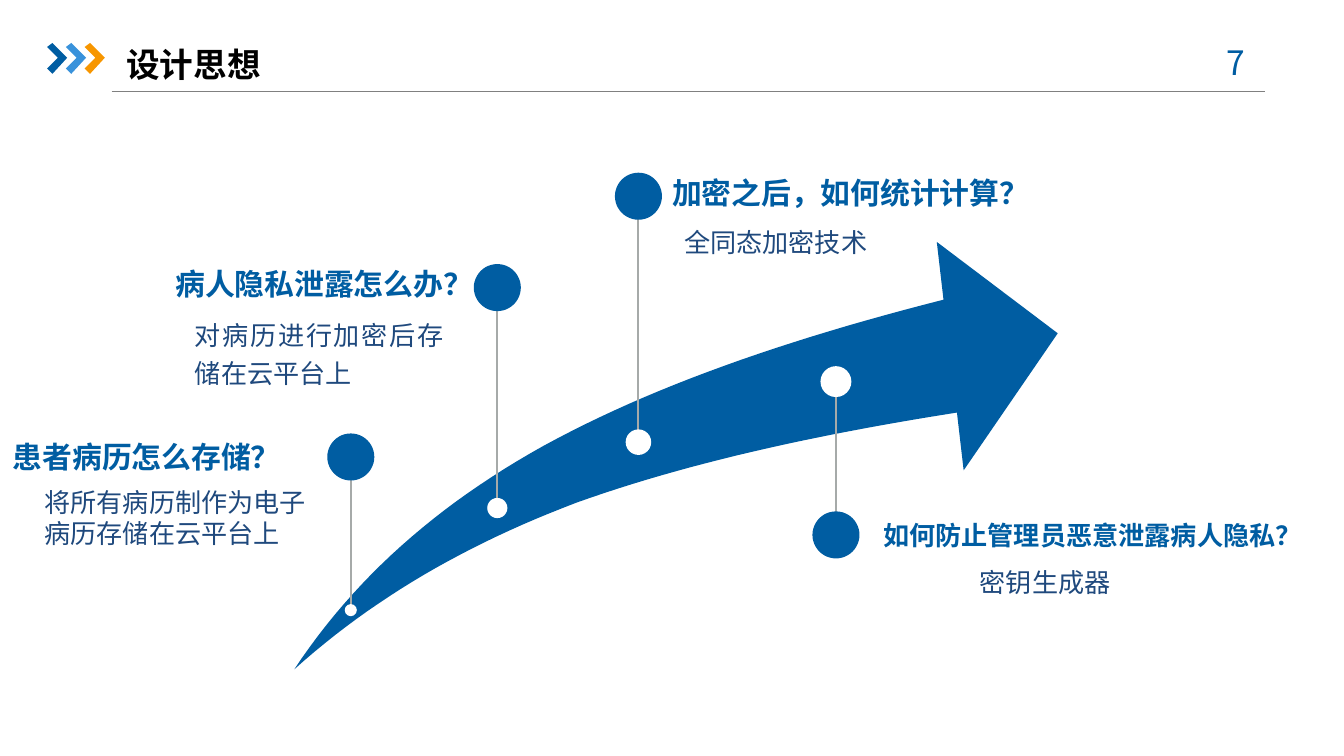
from lxml.etree import SubElement
from pptx import Presentation
from pptx.dml.color import RGBColor
from pptx.enum.shapes import MSO_CONNECTOR as Connector, MSO_SHAPE as Shape
from pptx.enum.text import MSO_ANCHOR as Anchor, PP_ALIGN as Align
from pptx.oxml.ns import qn
from pptx.util import Inches, Pt

FONT = "Noto Sans CJK SC"
COLORS = {
    "blue": "005DA2", "sky": "3992DB", "orange": "F79600", "navy": "1F497D",
    "rule": "808080", "stem": "A6AAA9", "white": "FFFFFF", "black": "000000",
}
MILESTONES = [
    (2.61, 3.4, 4.54, 0.09),
    (3.7, 2.14, 3.78, 0.15),
    (4.75, 1.46, 3.29, 0.19),
    (6.22, 3.98, 2.84, 0.23),
]
HEADINGS = [
    ("患者病历怎么存储？", (-0.33, 3.23, 2.42, 0.34), 16, Align.RIGHT, 1),
    ("病人隐私泄露怎么办？", (1.22, 1.96, 2.08, 0.34), 16, Align.RIGHT, 0.9),
    ("加密之后，如何统计计算？", (5, 1.28, 2.99, 0.34), 16, Align.LEFT, 0.9),
    ("如何防止管理员恶意泄露病人隐私？", (6.57, 3.83, 3.11, 0.34), 14, Align.LEFT, 0.9),
]
ANSWERS = [
    ("将所有病历制作为电子病历存储在云平台上", (0.33, 3.62, 2, 0.47), Align.LEFT, 1),
    ("对病历进行加密后存储在云平台上", (1.45, 2.33, 1.85, 0.51), Align.JUSTIFY, 1.2),
    ("全同态加密技术", (5.09, 1.64, 1.53, 0.51), Align.JUSTIFY, 1.2),
    ("密钥生成器", (7.29, 4.17, 1.85, 0.51), Align.JUSTIFY, 1.2),
]
UPPER_EDGE = [
    [(2.19, 4.98), (2.64, 4.3), (3.25, 3.76), (4.04, 3.32)],
    [(4.04, 3.32), (4.84, 2.88), (5.84, 2.53), (7.02, 2.23)],
]
ARROW_HEAD = [(6.97, 1.8), (7.87, 2.48), (7.17, 3.5), (7.12, 3.07)]
LOWER_EDGE = [
    [(7.12, 3.07), (6.04, 3.24), (5.1, 3.45), (4.29, 3.74)],
    [(4.29, 3.74), (3.47, 4.05), (2.78, 4.45), (2.19, 4.98)],
]


def rgb(name):
    """Return the named colour."""
    return RGBColor.from_string(COLORS[name])


def paint(shape, color):
    """Give a shape a flat fill without outline or shadow."""
    shape.shadow.inherit = False
    shape.fill.solid()
    shape.fill.fore_color.rgb = rgb(color)
    shape.line.fill.background()


def add_outline(page, points, color):
    """Draw a closed filled polygon."""
    corners = [(Inches(x), Inches(y)) for x, y in points]
    builder = page.shapes.build_freeform(*corners[0], scale=1.0)
    builder.add_line_segments(corners[1:], close=True)
    paint(builder.convert_to_shape(), color)


def add_dot(page, x, y, size, color):
    """Draw a circle around a centre."""
    place = (x - size / 2, y - size / 2, size, size)
    paint(page.shapes.add_shape(Shape.OVAL, *map(Inches, place)), color)


def add_line(page, start, end, color, width):
    """Draw a straight line without shadow."""
    line = page.shapes.add_connector(Connector.STRAIGHT, *map(Inches, start + end))
    line.line.color.rgb = rgb(color)
    line.line.width = Pt(width)
    SubElement(line._element.spPr, qn("a:effectLst"))


def add_text(page, text, place, size, color, bold=False, align=Align.LEFT,
             spacing=1, anchor=Anchor.TOP):
    """Write one paragraph in a box without margins."""
    frame = page.shapes.add_textbox(*map(Inches, place)).text_frame
    frame.word_wrap = True
    frame.vertical_anchor = anchor
    frame.margin_left = frame.margin_right = frame.margin_top = frame.margin_bottom = 0
    para = frame.paragraphs[0]
    para.text = text
    para.alignment = align
    para.line_spacing = spacing
    font = para.font
    font.name, font.size, font.bold = FONT, Pt(size), bold
    font.color.rgb = rgb(color)
    properties = para._p.pPr.find(qn("a:defRPr"))
    SubElement(properties, qn("a:ea")).set("typeface", FONT)


def curve(controls, steps=24):
    """Return points along a cubic curve."""
    weights = [((1 - t) ** 3, 3 * t * (1 - t) ** 2, 3 * t ** 2 * (1 - t), t ** 3)
               for t in (step / steps for step in range(steps + 1))]
    return [tuple(sum(w * point[axis] for w, point in zip(row, controls))
                  for axis in (0, 1)) for row in weights]


def add_header(page):
    """Draw the chevrons, title, page number and rule."""
    add_line(page, (0.83, 0.68), (9.41, 0.68), "rule", 0.75)
    chevron = [(0, 0.35), (0.04, 0.32), (0.15, 0.43), (0.04, 0.55), (0, 0.51), (0.08, 0.43)]
    for index, color in enumerate(("blue", "sky", "orange")):
        left = 0.35 + 0.14 * index
        add_outline(page, [(left + x, y) for x, y in chevron], color)
    add_text(page, "7", (8.93, 0.31, 0.53, 0.3), 18, "blue", align=Align.CENTER)
    add_text(page, "设计思想", (0.94, 0.32, 8, 0.32), 18, "black", True, anchor=Anchor.MIDDLE)


def add_growth_arrow(page):
    """Draw the sweeping arrow."""
    upper, lower = ([point for part in edge for point in curve(part)]
                    for edge in (UPPER_EDGE, LOWER_EDGE))
    add_outline(page, upper + ARROW_HEAD + lower, "blue")


def main():
    """Build the widescreen slide and save it."""
    deck = Presentation()
    deck.slide_width = Inches(10)
    deck.slide_height = deck.slide_width * 9 // 16
    page = deck.slides.add_slide(deck.slide_layouts[6])
    add_header(page)
    add_growth_arrow(page)
    for x, marker, pin, size in MILESTONES:
        add_line(page, (x, pin), (x, marker), "stem", 1)
        add_dot(page, x, marker, 0.35, "blue")
        add_dot(page, x, pin, size, "white")
    for text, place, size, align, spacing in HEADINGS:
        add_text(page, text, place, size, "blue", True, align, spacing, Anchor.MIDDLE)
    for text, place, align, spacing in ANSWERS:
        add_text(page, text, place, 14, "navy", align=align, spacing=spacing)
    deck.save("out.pptx")


if __name__ == "__main__":
    main()
